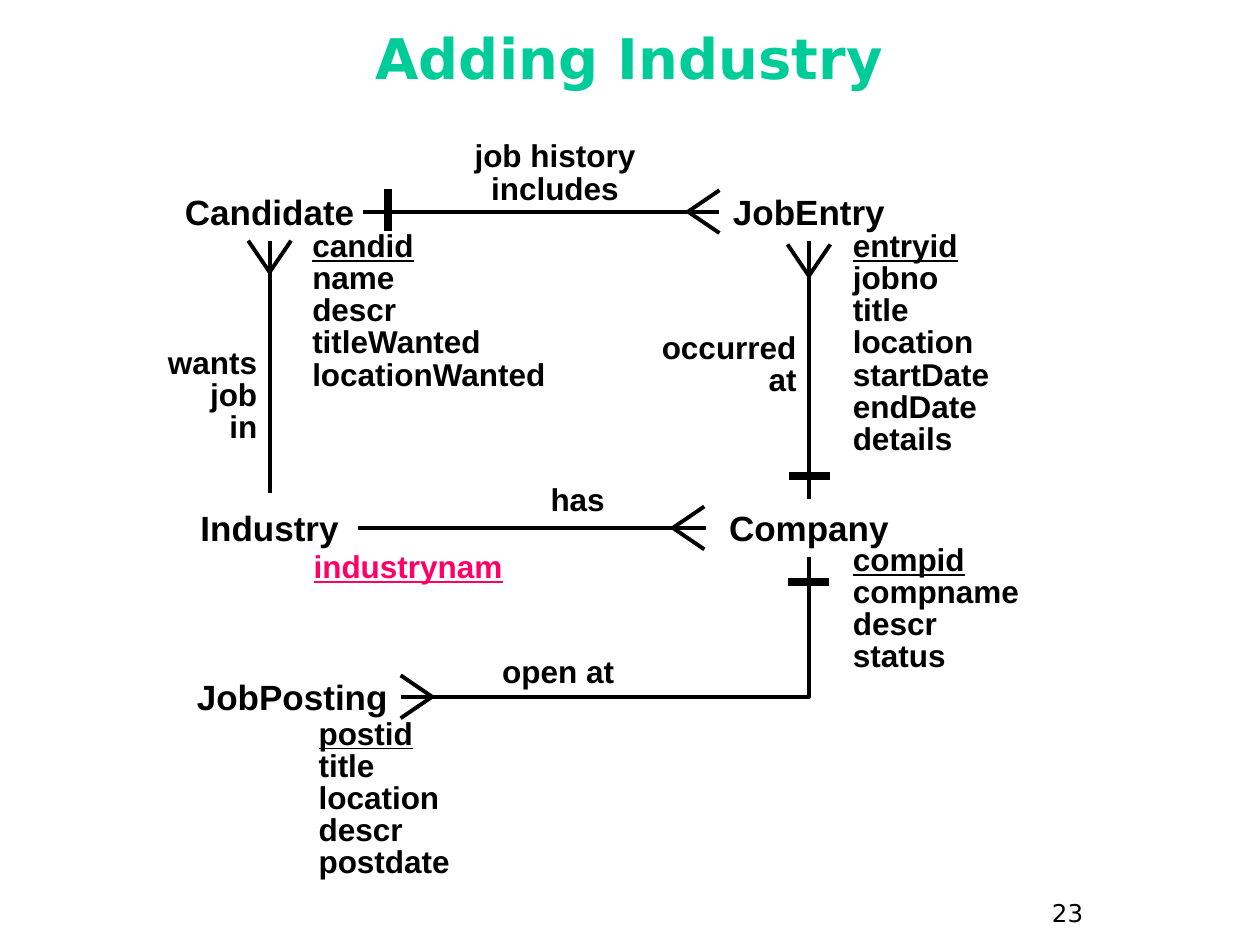
from dataclasses import dataclass

from lxml.etree import SubElement
from pptx import Presentation
from pptx.dml.color import RGBColor
from pptx.enum.shapes import MSO_CONNECTOR as Connector, MSO_SHAPE as Shape
from pptx.enum.text import MSO_ANCHOR as Anchor, MSO_AUTO_SIZE as AutoSize, PP_ALIGN as Align
from pptx.oxml.ns import qn
from pptx.util import Inches, Pt


@dataclass(frozen=True)
class Theme:
    black: RGBColor = RGBColor(0x00, 0x00, 0x00)
    white: RGBColor = RGBColor(0xFF, 0xFF, 0xFF)
    green: RGBColor = RGBColor(0x00, 0xCC, 0x99)
    pink: RGBColor = RGBColor(0xFF, 0x00, 0x66)
    heading_font: str = "DejaVu Sans"
    body_font: str = "Arial"
    title_size: int = 32
    entity_size: int = 20
    text_size: int = 18
    number_size: int = 14
    line_width: float = 2.25
    tick_width: float = 4.5


theme = Theme()
presentation = Presentation()
presentation.slide_width = Inches(10)
presentation.slide_height = Inches(7.5)
slide = presentation.slides.add_slide(presentation.slide_layouts[5])


def write(shape, text, size, color=theme.black, font=theme.body_font, align=Align.LEFT,
          bold=True, spacing=0.85, before=0):
    frame = shape.text_frame
    frame.text = text
    for paragraph in frame.paragraphs:
        paragraph.alignment = align
        paragraph.line_spacing = spacing
        paragraph.space_before = Pt(before)
        for run in paragraph.runs:
            run.font.name = font
            run.font.size = Pt(size)
            run.font.bold = bold
            run.font.color.rgb = color
    return frame


def connect(start, end, width=theme.line_width, kind=Connector.STRAIGHT):
    connector = slide.shapes.add_connector(kind, *map(Inches, start + end))
    connector.line.color.rgb = theme.black
    connector.line.width = Pt(width)
    SubElement(connector._element.spPr, qn("a:effectLst"))
    return connector


title = slide.shapes.title
title.left, title.top, title.width, title.height = map(Inches, (0.33, 0.08, 9.33, 0.83))
frame = write(title, "Adding Industry", theme.title_size, theme.green, theme.heading_font, Align.CENTER)
frame.vertical_anchor = Anchor.MIDDLE
frame.auto_size = AutoSize.NONE

entities = {}
for name, box in {
    "Candidate": (1.4, 1.45, 1.48, 0.46),
    "JobEntry": (5.71, 1.45, 1.42, 0.46),
    "Industry": (1.44, 3.91, 1.4, 0.56),
    "Company": (5.6, 3.96, 1.64, 0.46),
    "JobPosting": (1.46, 5.25, 1.72, 0.56),
}.items():
    entity = slide.shapes.add_shape(Shape.RECTANGLE, *map(Inches, box))
    entity.shadow.inherit = False
    entity.fill.solid()
    entity.fill.fore_color.rgb = theme.white
    entity.line.fill.background()
    frame = write(entity, name, theme.entity_size, align=Align.CENTER, spacing=1.0, before=12.5)
    frame.vertical_anchor = Anchor.MIDDLE
    frame.word_wrap = False
    entities[name] = entity

for begin, begin_side, end, end_side in [
    ("Candidate", 3, "JobEntry", 1),
    ("Candidate", 2, "Industry", 0),
    ("JobEntry", 2, "Company", 0),
    ("Industry", 3, "Company", 1),
]:
    relation = connect((0, 0), (1, 1))
    relation.begin_connect(entities[begin], begin_side)
    relation.end_connect(entities[end], end_side)

open_at = connect((3.18, 5.53), (6.42, 4.42), kind=Connector.ELBOW)
open_at.begin_connect(entities["JobPosting"], 3)
open_at.end_connect(entities["Company"], 2)
open_at._element.spPr.find(qn("a:prstGeom")).set("prst", "bentConnector2")

foot_length, foot_spread = 0.25, 0.17
for x, y, dx, dy in [
    (5.46, 1.68, 1, 0),
    (6.42, 2.19, 0, -1),
    (3.43, 5.53, -1, 0),
    (5.34, 4.19, 1, 0),
    (2.14, 2.16, 0, -1),
]:
    for side in (-foot_spread, foot_spread):
        connect((x, y), (x + dx * foot_length + dy * side, y + dy * foot_length + dx * side))

for start, end in [
    ((3.08, 1.5), (3.08, 1.83)),
    ((6.25, 4.62), (6.58, 4.62)),
    ((6.26, 3.78), (6.59, 3.78)),
]:
    connect(start, end, theme.tick_width)

for text, box, align in [
    ("job history includes", (3.24, 1.08, 2.33, 0.61), Align.CENTER),
    ("open at", (3.57, 5.17, 1.72, 0.36), Align.CENTER),
    ("occurred\vat", (4.93, 2.6, 1.49, 0.61), Align.RIGHT),
    ("has", (4, 3.81, 1.17, 0.36), Align.CENTER),
    ("wants\vjob\vin", (0.97, 2.72, 1.17, 0.87), Align.RIGHT),
]:
    label = slide.shapes.add_textbox(*map(Inches, box))
    frame = write(label, text, theme.text_size, align=align, before=11.2)
    frame.word_wrap = True
    frame.auto_size = AutoSize.SHAPE_TO_FIT_TEXT

for names, box, color in [
    (["candid", "name", "descr", "titleWanted", "locationWanted"], (2.38, 1.79, 2.29, 1.38), theme.black),
    (["entryid", "jobno", "title", "location", "startDate", "endDate", "details"],
     (6.67, 1.79, 1.33, 1.89), theme.black),
    (["industrynam"], (2.39, 4.34, 1.72, 0.36), theme.pink),
    (["compid", "compname", "descr", "status"], (6.67, 4.28, 1.75, 1.12), theme.black),
    (["postid", "title", "location", "descr", "postdate"], (2.43, 5.66, 1.72, 1.38), theme.black),
]:
    attributes = slide.shapes.add_textbox(*map(Inches, box))
    frame = write(attributes, "\n".join(names), theme.text_size, color)
    frame.word_wrap = True
    frame.auto_size = AutoSize.SHAPE_TO_FIT_TEXT
    frame.paragraphs[0].runs[0].font.underline = True

number = slide.shapes.add_textbox(*map(Inches, (8.25, 7.08, 0.75, 0.37)))
frame = write(number, "23", theme.number_size, font=theme.heading_font, bold=False, spacing=1.0, before=8.8)
frame.word_wrap = True
frame.auto_size = AutoSize.SHAPE_TO_FIT_TEXT

presentation.save("out.pptx")
